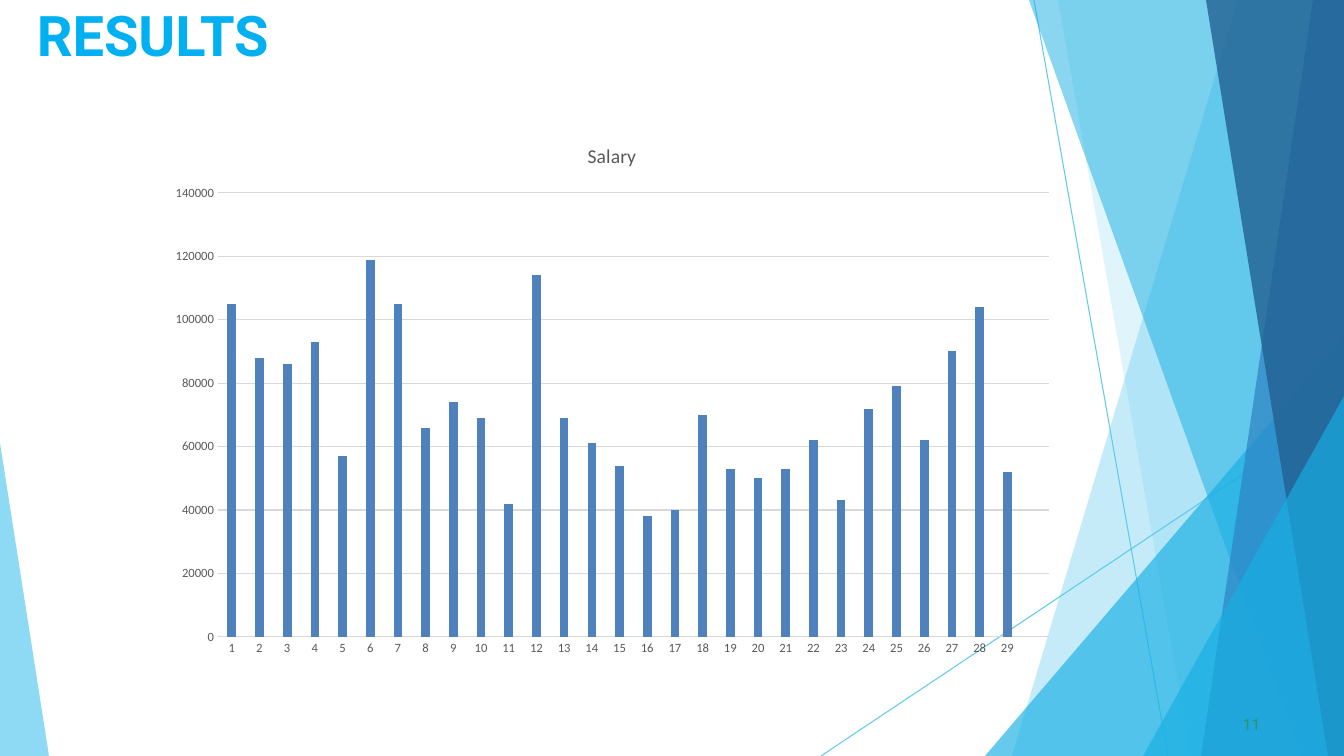
from lxml import etree
from pptx import Presentation
from pptx.chart.data import CategoryChartData
from pptx.dml.color import RGBColor
from pptx.enum.chart import XL_CHART_TYPE, XL_TICK_MARK
from pptx.enum.shapes import MSO_CONNECTOR
from pptx.oxml import parse_xml
from pptx.oxml.ns import qn
from pptx.util import Pt

COLUMNS = XL_CHART_TYPE.COLUMN_CLUSTERED
NO_TICK = XL_TICK_MARK.NONE
STRAIGHT = MSO_CONNECTOR.STRAIGHT

PX = 914400 / 100.8
WIDTH, HEIGHT = 1344, 756
COLORS = {
    "sky": "5FCAEE", "cyan": "17AFE3", "blue": "2D83C3", "navy": "226192",
    "title": "00B0F0", "number": "2D936B", "bar": "4F81BD",
    "label": "595959", "grid": "D9D9D9",
}

# Facets on the right edge: top left, bottom left, colour, opacity in percent
FACETS = [
    ((1238, 0), (1012, HEIGHT), "sky", 36),
    ((1058, 0), (1191, HEIGHT), "sky", 20),
    ((WIDTH, 336), (985, HEIGHT), "cyan", 66),
    ((1029, 0), (1301, HEIGHT), "cyan", 50),
    ((1313, 0), (1201, HEIGHT), "blue", 70),
    ((1206, 0), (1328, HEIGHT), "navy", 80),
    ((WIDTH, 396), (1143, HEIGHT), "cyan", 66),
]
RAYS = [((1034, 0), (1168, HEIGHT)), ((WIDTH, 407), (821, HEIGHT))]

SALARIES = [
    105000, 88000, 86000, 93000, 57000, 119000, 105000, 66000, 74000, 69000,
    42000, 114000, 69000, 61000, 54000, 38000, 40000, 70000, 53000, 50000,
    53000, 62000, 43000, 72000, 79000, 62000, 90000, 104000, 52000,
]
CHART_BOX = (157, 122, 910, 544)
PLOT_BOX = (218, 193, 831, 444)


def px(length):
    return round(length * PX)


def rgb(name):
    return RGBColor.from_string(COLORS[name])


def style_font(font, face, size, color, bold=False):
    font.name, font.size, font.bold = face, Pt(size), bold
    font.color.rgb = rgb(color)


def add_ray(slide, start, end):
    ray = slide.shapes.add_connector(STRAIGHT, *map(px, start + end))
    ray.line.color.rgb = rgb("sky")
    ray.line.width = Pt(0.75)
    etree.SubElement(ray._element.spPr, qn("a:effectLst"))


def add_facet(slide, points, color, opacity):
    outline = slide.shapes.build_freeform(*points[0], scale=PX)
    outline.add_line_segments(points[1:], close=True)
    facet = outline.convert_to_shape()
    facet.shadow.inherit = False
    facet.line.fill.background()
    facet.fill.solid()
    facet.fill.fore_color.rgb = rgb(color)
    tint = facet._element.spPr.find(qn("a:solidFill"))[0]
    etree.SubElement(tint, qn("a:alpha"), val=str(opacity * 1000))


def add_text(slide, box, text, size, color, before, bold=False):
    frame = slide.shapes.add_textbox(*map(px, box)).text_frame
    frame.word_wrap = True
    frame.margin_left = frame.margin_right = frame.margin_bottom = 0
    frame.margin_top = px(1)
    paragraph = frame.paragraphs[0]
    paragraph.space_before = Pt(before)
    run = paragraph.add_run()
    run.text = text
    style_font(run.font, "Roboto", size, color, bold)


def style_axis(axis):
    axis.major_tick_mark = axis.minor_tick_mark = NO_TICK
    style_font(axis.tick_labels.font, "Calibri", 9, "label")


def place_plot(chart):
    left, top, width, height = CHART_BOX
    plot_left, plot_top, plot_width, plot_height = PLOT_BOX
    area = chart._chartSpace.chart.plotArea
    for old in area.findall(qn("c:layout")):
        area.remove(old)
    layout = etree.Element(qn("c:layout"))
    manual = etree.SubElement(layout, qn("c:manualLayout"))
    settings = {
        "layoutTarget": "inner", "xMode": "edge", "yMode": "edge",
        "x": (plot_left - left) / width, "y": (plot_top - top) / height,
        "w": plot_width / width, "h": plot_height / height,
    }
    for tag, value in settings.items():
        etree.SubElement(manual, qn("c:" + tag), val=str(value))
    area.insert(0, layout)


def clear_background(chart):
    chart._chartSpace.chart.addnext(parse_xml(
        '<c:spPr xmlns:c="http://schemas.openxmlformats.org/drawingml/2006/chart"'
        ' xmlns:a="http://schemas.openxmlformats.org/drawingml/2006/main">'
        '<a:noFill/><a:ln><a:noFill/></a:ln></c:spPr>'))


def add_salary_chart(slide):
    data = CategoryChartData()
    # The last slot of the axis stays empty
    data.categories = [str(n + 1) for n in range(len(SALARIES))] + [""]
    data.add_series("Salary", SALARIES + [None])
    chart = slide.shapes.add_chart(COLUMNS, *map(px, CHART_BOX), data).chart
    chart.has_legend = False
    chart.font.name, chart.font.size = "Calibri", Pt(10)

    # Title
    chart.has_title = True
    title = chart.chart_title
    title.include_in_layout = False
    run = title.text_frame.paragraphs[0].add_run()
    run.text = "Salary"
    style_font(run.font, "Calibri", 14, "label")

    # Columns
    plot = chart.plots[0]
    plot.gap_width = 219
    plot.vary_by_categories = False
    bars = plot.series[0].format.fill
    bars.solid()
    bars.fore_color.rgb = rgb("bar")

    # Axes
    style_axis(chart.category_axis)
    style_axis(chart.value_axis)
    scale = chart.value_axis
    scale.minimum_scale, scale.maximum_scale, scale.major_unit = 0, 140000, 20000
    scale.format.line.fill.background()
    for line in (chart.category_axis.format.line, scale.major_gridlines.format.line):
        line.color.rgb = rgb("grid")
        line.width = Pt(0.75)

    place_plot(chart)
    clear_background(chart)


def main():
    deck = Presentation()
    deck.slide_width, deck.slide_height = px(WIDTH), px(HEIGHT)
    slide = deck.slides.add_slide(deck.slide_layouts[6])

    # Backdrop
    for start, end in RAYS:
        add_ray(slide, start, end)
    for top, bottom, color, opacity in FACETS:
        corners = [(WIDTH, top[1]), top, bottom, (WIDTH, HEIGHT)]
        add_facet(slide, list(dict.fromkeys(corners)), color, opacity)
    add_facet(slide, [(0, 443), (0, HEIGHT), (49, HEIGHT)], "sky", 70)

    # Content
    add_text(slide, (37, 0, 419, 68), "RESULTS", 40, "title", 1, bold=True)
    add_text(slide, (1243, 714, 25, 21), "11", 11, "number", 0.5)
    add_salary_chart(slide)

    deck.save("out.pptx")


if __name__ == "__main__":
    main()
